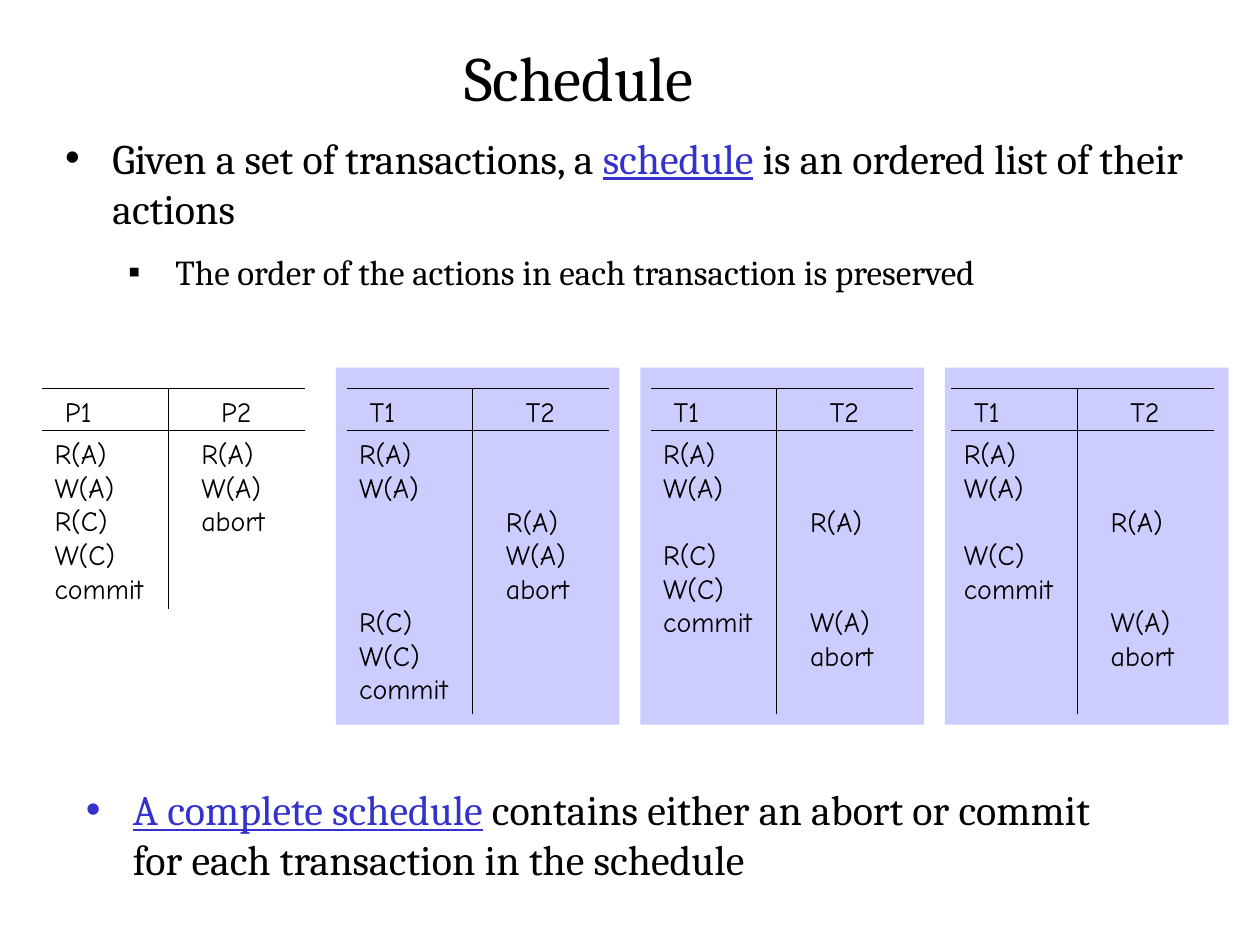
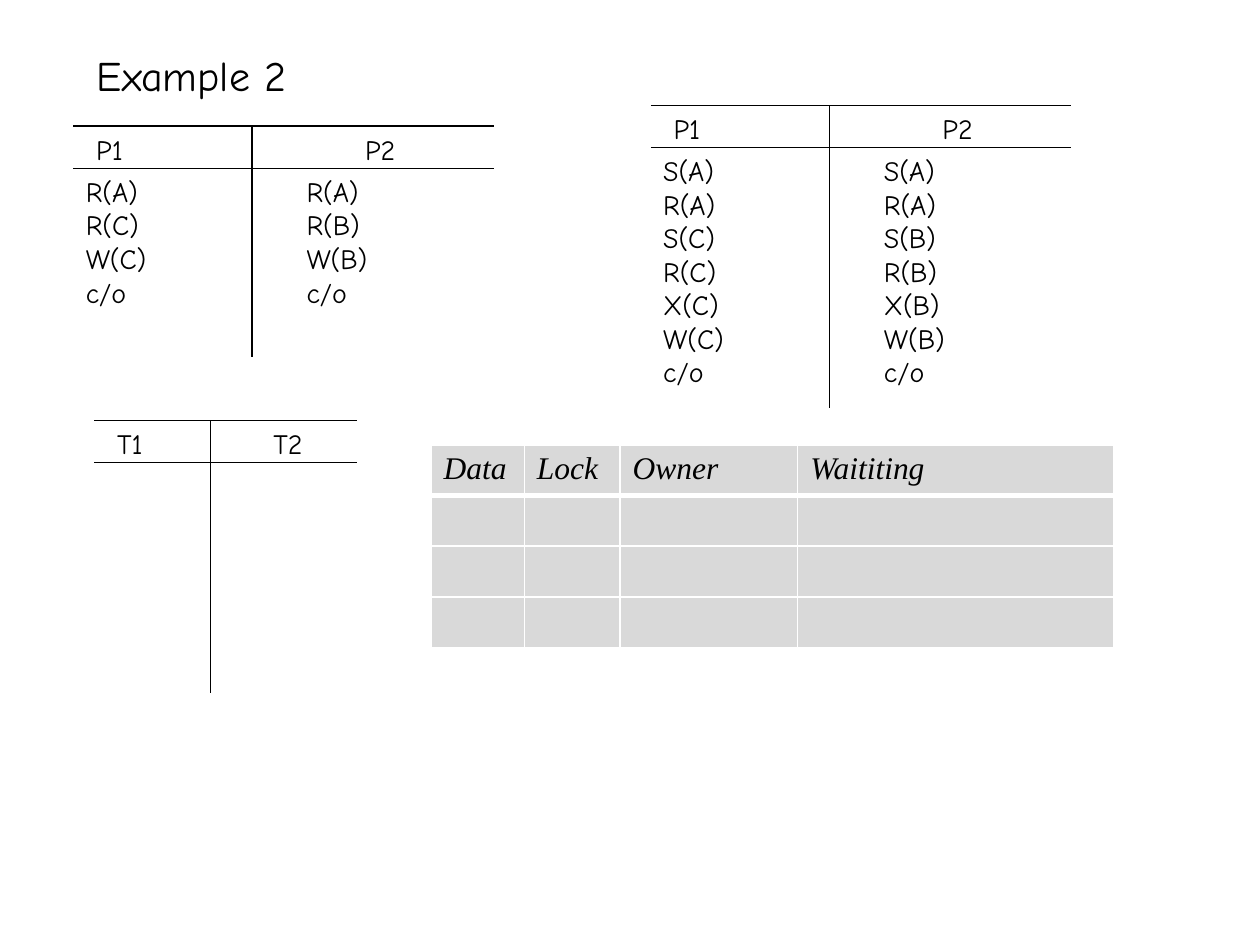
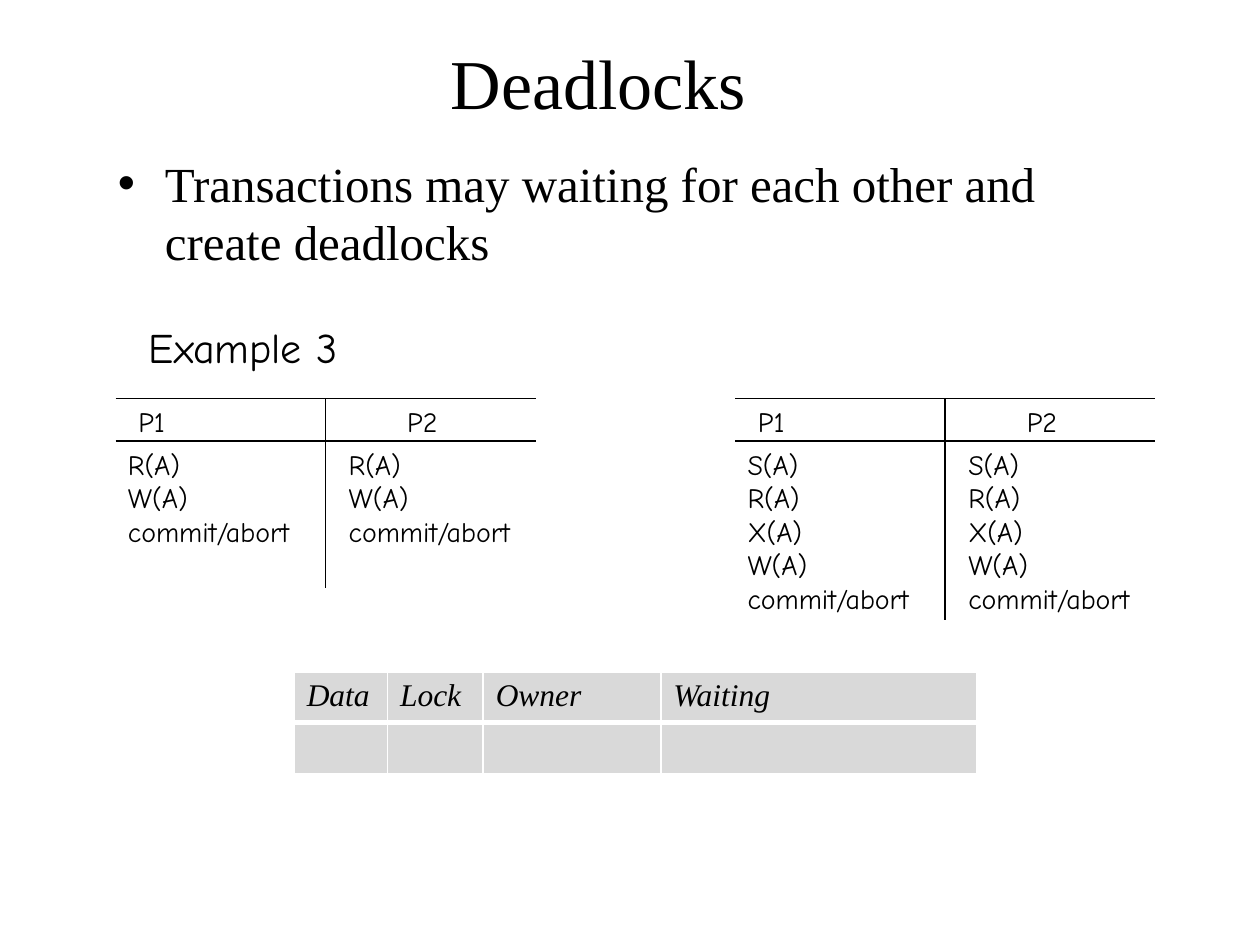
from lxml import etree
from pptx import Presentation
from pptx import util as u
from pptx.dml.color import RGBColor
from pptx.enum import shapes, text
from pptx.oxml.ns import qn

COLORS = {"ink": "000000", "term": "3333CC", "panel": "CCCCFF",
          "cell": "D9D9D9", "border": "FFFFFF"}
HAND, SERIF, ROMAN = "Comic Neue", "Cambria", "Times New Roman"
STEP_SIZE, STEP_PITCH = 16, 19.2  # points
STEP_HEIGHT = 0.68  # the same pitch in centimetres


def add_span(para, words, font, size, color="ink", underline=False, italic=False):
    span = para.add_run()
    span.text = words
    span.font.name = font
    span.font.size = u.Pt(size)
    span.font.color.rgb = RGBColor.from_string(COLORS[color])
    span.font.underline = underline
    span.font.italic = italic


def set_bullet(para, mark, indent):
    """Give a paragraph a hanging bullet, with its text indented in centimetres."""
    props = para._p.get_or_add_pPr()
    props.set("marL", str(u.Cm(indent)))
    props.set("indent", str(-u.Cm(0.95)))
    etree.SubElement(props, qn("a:buFont")).set("typeface", "Arial")
    etree.SubElement(props, qn("a:buChar")).set("char", mark)


deck = Presentation()
deck.slide_width, deck.slide_height = u.Cm(25.4), u.Cm(19.05)
schedule_page, example_page, deadlock_page = [
    deck.slides.add_slide(deck.slide_layouts[number]) for number in (1, 5, 1)]

# Titles: page, words, left, top, width, height, font, size, alignment
titles = [
    (schedule_page, "Schedule", 9.1, 0.64, 5.6, 1.8, SERIF, 36, text.PP_ALIGN.LEFT),
    (example_page, "Example 2", 1.7, 0.85, 4.9, 1.3, HAND, 24, text.PP_ALIGN.LEFT),
    (deadlock_page, "Deadlocks", 1.27, 0.64, 21.59, 2, ROMAN, 40, text.PP_ALIGN.CENTER),
]
for page, words, left, top, width, height, font, size, align in titles:
    title = page.shapes.title
    title.left, title.top = u.Cm(left), u.Cm(top)
    title.width, title.height = u.Cm(width), u.Cm(height)
    title.text_frame.auto_size = text.MSO_AUTO_SIZE.NONE
    title.text_frame.word_wrap = True
    para = title.text_frame.paragraphs[0]
    para.alignment = align
    add_span(para, words, font, size)

# Panels behind the three schedules
for column in range(3):
    panel = schedule_page.shapes.add_shape(
        shapes.MSO_SHAPE.RECTANGLE, u.Cm(6.77 + 6.14 * column), u.Cm(7.41),
        u.Cm(5.72), u.Cm(7.2))
    panel.shadow.inherit = False
    panel.fill.solid()
    panel.fill.fore_color.rgb = RGBColor.from_string(COLORS["panel"])
    panel.line.fill.background()

# Lists: box, left, top, width, height, font, paragraphs of (level, size, spans)
complete_box = schedule_page.shapes.add_textbox(0, 0, 0, 0)
lists = [
    (schedule_page.placeholders[1], 1.06, 2.54, 23.29, 3.58, SERIF, [
        (0, 24, [("Given a set of transactions, a ", "ink"), ("schedule", "term"),
                 (" is an ordered list of their actions", "ink")]),
        (1, 20, [("The order of the actions in each transaction is preserved", "ink")]),
    ]),
    (complete_box, 1.48, 15.67, 21.39, 2.31, SERIF, [
        (0, 24, [("A complete schedule", "term"),
                 (" contains either an abort or commit for each transaction"
                  " in the schedule", "ink")]),
    ]),
    (deadlock_page.placeholders[1], 2.12, 2.96, 20.75, 2.75, ROMAN, [
        (0, 28, [("Transactions may waiting for each other and create deadlocks", "ink")]),
    ]),
]
for box, left, top, width, height, font, items in lists:
    box.left, box.top = u.Cm(left), u.Cm(top)
    box.width, box.height = u.Cm(width), u.Cm(height)
    frame = box.text_frame
    frame.word_wrap = True
    frame.auto_size = text.MSO_AUTO_SIZE.NONE
    for index, (level, size, spans) in enumerate(items):
        para = frame.add_paragraph() if index else frame.paragraphs[0]
        para.level = level
        para.space_before = u.Pt(10 if index else 0)
        set_bullet(para, "•▪"[level], 0.95 + 1.27 * level)
        for words, color in spans:
            add_span(para, words, font, size, color, underline=color == "term")

example_box = deadlock_page.shapes.add_textbox(u.Cm(2.75), u.Cm(6.35), u.Cm(4.6), u.Cm(1.3))
example_box.text_frame.word_wrap = True
add_span(example_box.text_frame.paragraphs[0], "Example 3", HAND, 24)

# Schedules: page, left, top, bottom, format, divider offset, names, steps ("-" waits)
# Formats: width, second name offset, second column offset, column width
NARROW = (5.29, 3.15, 2.96, 2.54)
WIDE = (8.47, 5.42, 4.45, 4.3)
schedules = [
    (schedule_page, 0.85, 7.83, 12.28, NARROW, 2.54, "P1 P2",
     "R(A) W(A) R(C) W(C) commit", "R(A) W(A) abort"),
    (schedule_page, 6.99, 7.83, 14.39, NARROW, 2.54, "T1 T2",
     "R(A) W(A) - - - R(C) W(C) commit", "- - R(A) W(A) abort"),
    (schedule_page, 13.12, 7.83, 14.39, NARROW, 2.54, "T1 T2",
     "R(A) W(A) - R(C) W(C) commit", "- - R(A) - - W(A) abort"),
    (schedule_page, 19.18, 7.83, 14.39, NARROW, 2.54, "T1 T2",
     "R(A) W(A) - W(C) commit", "- - R(A) - - W(A) abort"),
    (example_page, 13.12, 2.12, 8.23, WIDE, 3.6, "P1 P2",
     "S(A) R(A) S(C) R(C) X(C) W(C) c/o", "S(A) R(A) S(B) R(B) X(B) W(B) c/o"),
    (example_page, 1.9, 8.47, 13.97, NARROW, 2.34, "T1 T2", "", ""),
    (example_page, 1.48, 2.54, 7.2, WIDE, 3.6, "P1 P2",
     "R(A) R(C) W(C) c/o", "R(A) R(B) W(B) c/o"),
    (deadlock_page, 2.33, 8.04, 11.86, WIDE, 4.23, "P1 P2",
     "R(A) W(A) commit/abort", "R(A) W(A) commit/abort"),
    (deadlock_page, 14.82, 8.04, 12.5, WIDE, 4.23, "P1 P2",
     "S(A) R(A) X(A) W(A) commit/abort", "S(A) R(A) X(A) W(A) commit/abort"),
]
for page, left, top, bottom, layout, divider, names, first, second in schedules:
    width, name_offset, column_offset, column_width = layout
    rule = top + 0.85

    header = page.shapes.add_textbox(u.Cm(left + 0.21), u.Cm(top), u.Cm(width), u.Cm(0.94))
    header.text_frame.word_wrap = True
    para = header.text_frame.paragraphs[0]
    tabs = etree.SubElement(para._p.get_or_add_pPr(), qn("a:tabLst"))
    etree.SubElement(tabs, qn("a:tab"), pos=str(u.Cm(name_offset)), algn="l")
    add_span(para, "\t".join(names.split()), HAND, STEP_SIZE)

    for x1, y1, x2, y2 in [(left, rule, left + width, rule),
                           (left, top, left + width, top),
                           (left + divider, top, left + divider, bottom)]:
        line = page.shapes.add_connector(
            shapes.MSO_CONNECTOR.STRAIGHT, u.Cm(x1), u.Cm(y1), u.Cm(x2), u.Cm(y2))
        line.line.color.rgb = RGBColor.from_string(COLORS["ink"])
        line.line.width = u.Pt(0.75)
        etree.SubElement(line._element.spPr, qn("a:effectLst"))

    for column_left, steps in [(left, first.split()), (left + column_offset, second.split())]:
        actions = [(row, step) for row, step in enumerate(steps) if step != "-"]
        if not actions:
            continue
        start = actions[0][0]
        box = page.shapes.add_textbox(
            u.Cm(column_left), u.Cm(rule + start * STEP_HEIGHT), u.Cm(column_width),
            u.Cm(0.25 + (len(steps) - start) * STEP_HEIGHT))
        box.text_frame.word_wrap = True
        previous = start - 1
        for row, step in actions:
            para = box.text_frame.paragraphs[0] if row == start else box.text_frame.add_paragraph()
            para.space_before = u.Pt((row - previous - 1) * STEP_PITCH)
            add_span(para, step, HAND, STEP_SIZE)
            previous = row

# Lock tables: page, left, top, row count, headings
lock_tables = [
    (example_page, 8.69, 8.97, 4, ["Data", "Lock", "Owner", "Waititing"]),
    (deadlock_page, 5.93, 13.55, 2, ["Data", "Lock", "Owner", "Waiting"]),
]
COLUMN_WIDTHS = [1.88, 1.93, 3.58, 6.38]
ROW_HEIGHT = 1.02
for page, left, top, row_count, headings in lock_tables:
    table = page.shapes.add_table(
        row_count, len(headings), u.Cm(left), u.Cm(top),
        u.Cm(sum(COLUMN_WIDTHS)), u.Cm(ROW_HEIGHT * row_count)).table
    table.first_row = table.horz_banding = False
    for column, width in zip(table.columns, COLUMN_WIDTHS):
        column.width = u.Cm(width)
    for index, row in enumerate(table.rows):
        row.height = u.Cm(ROW_HEIGHT)
        for cell, heading in zip(row.cells, headings):
            cell.fill.solid()
            cell.fill.fore_color.rgb = RGBColor.from_string(COLORS["cell"])
            if index == 0:
                add_span(cell.text_frame.paragraphs[0], heading, ROMAN, 18, italic=True)
            thick_side = {0: "lnB", 1: "lnT"}.get(index)
            for place, side in enumerate(["lnL", "lnR", "lnT", "lnB"]):
                border = etree.Element(
                    qn("a:" + side), w=str(u.Pt(3 if side == thick_side else 1)))
                paint = etree.SubElement(border, qn("a:solidFill"))
                etree.SubElement(paint, qn("a:srgbClr"), val=COLORS["border"])
                cell._tc.get_or_add_tcPr().insert(place, border)

deck.save("out.pptx")
